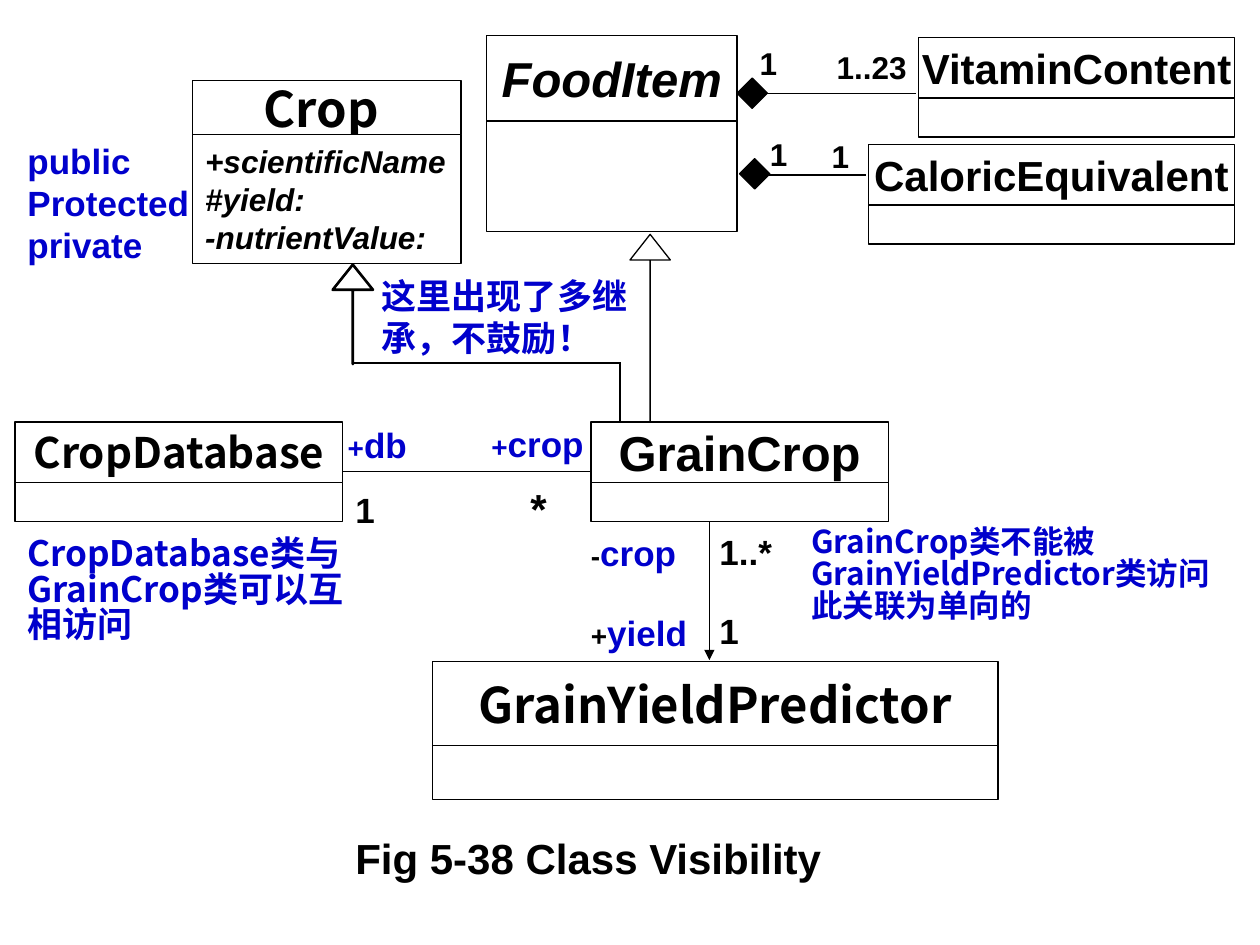
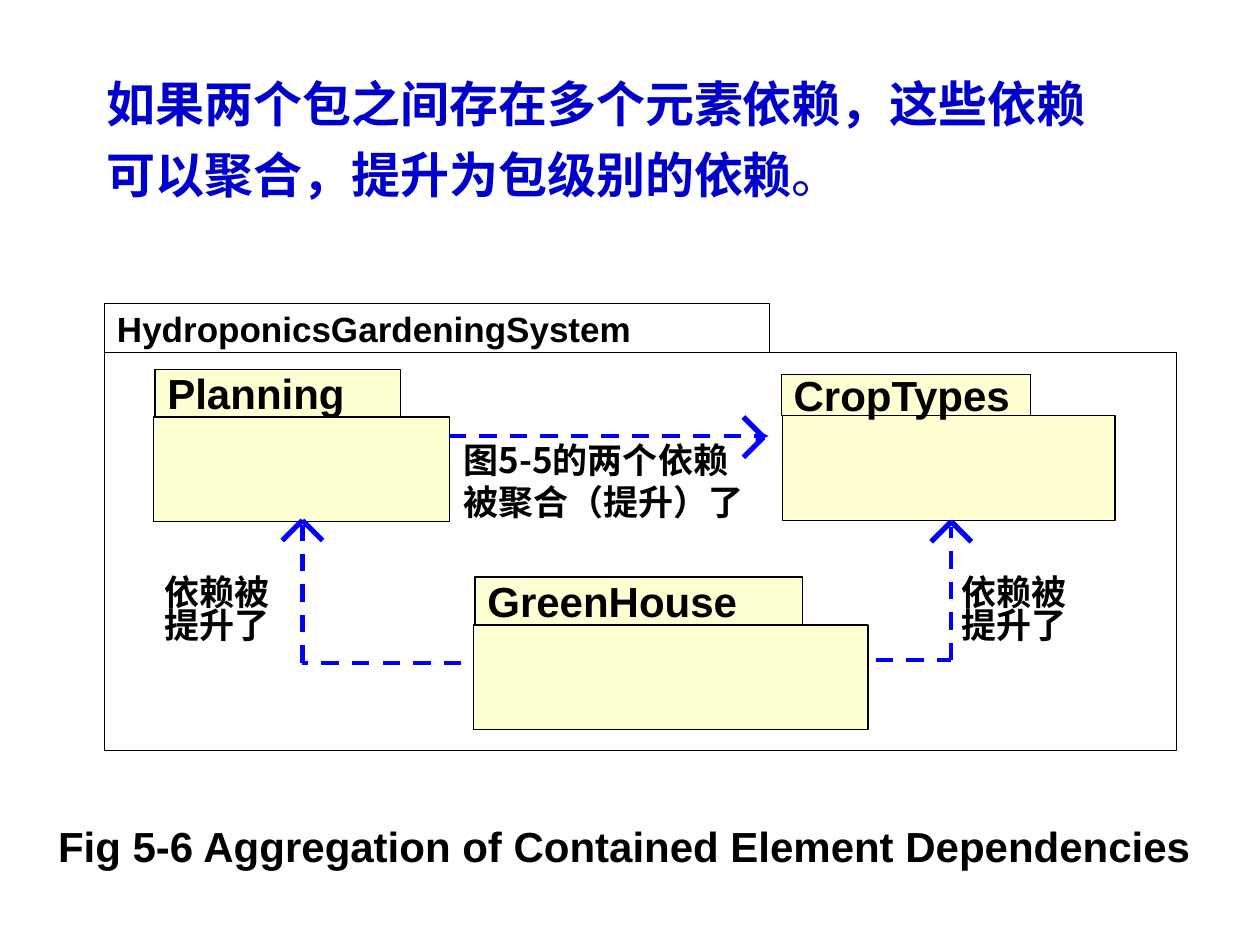
from lxml.etree import SubElement
from pptx import Presentation
from pptx.dml.color import RGBColor
from pptx.enum.dml import MSO_LINE
from pptx.enum.shapes import MSO_CONNECTOR, MSO_SHAPE
from pptx.enum.text import MSO_ANCHOR, PP_ALIGN
from pptx.oxml.ns import qn
from pptx.util import Inches, Pt

# The slide is a grid of 100 columns by 75 rows
SLIDE_WIDTH, SLIDE_HEIGHT = Inches(10), Inches(7.5)
COLUMN, ROW = SLIDE_WIDTH / 100, SLIDE_HEIGHT / 75

BLACK = RGBColor(0x00, 0x00, 0x00)
WHITE = RGBColor(0xFF, 0xFF, 0xFF)
NOTE_BLUE = RGBColor(0x00, 0x00, 0xCC)
ARROW_BLUE = RGBColor(0x00, 0x00, 0xFF)
PACKAGE_YELLOW = RGBColor(0xFF, 0xFF, 0x99)

LATIN, CJK = "Arial", "Noto Sans CJK SC"
PADDED, TIGHT = (1, 0.5), (0, 0)
HEAD_UP, HEAD_RIGHT = [(-1, 1), (1, 1)], [(-1, -1), (-1, 1)]
HEAD_REACH = 1.6


def cells(left, top, width, height):
    return (round(left * COLUMN), round(top * ROW),
            round(width * COLUMN), round(height * ROW))


# Text
def style(run, size, color=BLACK, font=LATIN, bold=True, italic=False):
    run.font.size = Pt(size)
    run.font.bold = bold
    run.font.italic = italic
    run.font.color.rgb = color
    run.font.name = font
    if font == CJK:
        SubElement(run.font._element, qn("a:ea"), typeface=CJK)


def write(frame, text, size, align=PP_ALIGN.LEFT, spacing=None, inset=PADDED,
          wrap=False, **look):
    frame.word_wrap = wrap
    frame.margin_left = frame.margin_right = round(inset[0] * COLUMN)
    frame.margin_top = frame.margin_bottom = round(inset[1] * ROW)
    frame.text = text
    for paragraph in frame.paragraphs:
        paragraph.alignment = align
        if spacing:
            paragraph.line_spacing = spacing
        for run in paragraph.runs:
            style(run, size, **look)


def label(slide, area, text, size, **look):
    frame = slide.shapes.add_textbox(*cells(*area)).text_frame
    write(frame, text, size, **look)
    return frame.paragraphs[0]


def role(slide, left, top, mark, name, mark_color):
    """An association end: a small visibility mark, then the role's name."""
    end = label(slide, (left, top, 8.7, 3.3), mark, 16, inset=TIGHT, color=mark_color)
    name_run = end.add_run()
    name_run.text = name
    style(name_run, 20, NOTE_BLUE)


def caption(slide, area, text):
    label(slide, area, text, 24, align=PP_ALIGN.CENTER)


# Shapes and lines
def solid(slide, kind, area, fill=WHITE, opacity=None, weight=0.75):
    shape = slide.shapes.add_shape(kind, *cells(*area))
    shape.shadow.inherit = False
    shape.fill.solid()
    shape.fill.fore_color.rgb = fill
    if opacity:
        color = shape._element.spPr.find(qn("a:solidFill"))[0]
        SubElement(color, qn("a:alpha"), val=str(opacity * 1000))
    shape.line.color.rgb = BLACK
    shape.line.width = Pt(weight)
    return shape


def line(slide, start, end, color=BLACK, weight=0.75, dashed=False, arrow=False):
    connector = slide.shapes.add_connector(
        MSO_CONNECTOR.STRAIGHT, *cells(*start, *end))
    connector.line.color.rgb = color
    connector.line.width = Pt(weight)
    if dashed:
        connector.line.dash_style = MSO_LINE.DASH
    if arrow:
        SubElement(connector.line._get_or_add_ln(), qn("a:tailEnd"), type="triangle")
    SubElement(connector._element.spPr, qn("a:effectLst"))


def box_text(shape, text, size, **look):
    shape.text_frame.vertical_anchor = MSO_ANCHOR.MIDDLE
    write(shape.text_frame, text, size, **look)


# Class diagram parts
def class_box(slide, left, top, width, name, size, heights=(4.78, 3.1), inset=PADDED, **look):
    """A class: the name on top, its members below. Returns the member part."""
    name_height, member_height = heights
    name_part = solid(slide, MSO_SHAPE.RECTANGLE, (left, top, width, name_height))
    box_text(name_part, name, size, align=PP_ALIGN.CENTER, inset=inset, **look)
    return solid(slide, MSO_SHAPE.RECTANGLE,
                 (left, top + name_height, width, member_height))


def inheritance(slide, area, head, weight=0.75):
    arrow = solid(slide, MSO_SHAPE.UP_ARROW, area, weight=weight)
    arrow.adjustments[0] = 0
    arrow.adjustments[1] = head


def composition(slide, left, top, line_row, part_column):
    solid(slide, MSO_SHAPE.DIAMOND, (left, top, 2.4, 2.4), fill=BLACK)
    line(slide, (60.9, line_row), (part_column, line_row))


# Package diagram parts
def package(slide, tab, body, name, size=24, fill=WHITE, opacity=None):
    solid(slide, MSO_SHAPE.RECTANGLE, body, fill, opacity)
    tab_part = solid(slide, MSO_SHAPE.RECTANGLE, tab, fill, opacity)
    box_text(tab_part, name, size)


def dependency(slide, points, tip, head, arrow=False):
    for start, end in zip(points, points[1:]):
        line(slide, start, end, ARROW_BLUE, 2.5, dashed=True, arrow=arrow)
    for across, down in head:
        wing = (tip[0] + across * HEAD_REACH, tip[1] + down * HEAD_REACH)
        line(slide, wing, tip, ARROW_BLUE, 3)


def class_visibility(slide):
    # Inheritance from Crop
    line(slide, (49.2, 34.2), (49.2, 28.7), weight=1.5)
    line(slide, (49.2, 28.8), (28, 28.8), weight=1.5)
    inheritance(slide, (26.4, 21, 3.2, 7.9), 0.625, weight=1.5)

    # Classes
    crop_members = class_box(slide, 15.3, 6.4, 21.3, "Crop ", 28, (4.3, 10.2), TIGHT, font=CJK)
    box_text(crop_members, "+scientificName\n#yield:\n-nutrientValue:", 18, italic=True)
    class_box(slide, 34.3, 52.5, 44.9, "GrainYieldPredictor", 28, (6.65, 4.3), font=CJK)
    class_box(slide, 38.6, 2.8, 19.9, "FoodItem", 28, (6.8, 8.8), TIGHT, italic=True)
    class_box(slide, 72.9, 3, 25.1, "VitaminContent", 24)
    class_box(slide, 68.9, 11.5, 29.1, "CaloricEquivalent", 24)
    class_box(slide, 1.2, 33.5, 26, "CropDatabase", 24, font=CJK)

    # Relations
    composition(slide, 58.5, 6.2, 7.4, 72.7)
    composition(slide, 58.7, 12.6, 13.9, 68.7)
    inheritance(slide, (50, 18.6, 3.2, 14.9), 0.635)
    line(slide, (27.2, 37.4), (46.9, 37.4))
    line(slide, (56.3, 41.4), (56.3, 52.4), arrow=True)
    class_box(slide, 46.9, 33.5, 23.6, "GrainCrop", 28)

    # Multiplicities
    for left, top, width, count, size in [
            (60.3, 3.5, 2, "1", 18), (66.4, 3.8, 6.3, "1..23", 18),
            (61.1, 10.7, 2, "1", 18), (66, 10.9, 2, "1", 18),
            (28.2, 38.8, 2, "1", 20), (42.1, 38.3, 2, "*", 24),
            (57.1, 42.1, 6.3, "1..*", 20), (57.1, 48.4, 2.3, "1", 20)]:
        label(slide, (left, top, width, 3.3), count, size, inset=TIGHT, wrap=True)

    # Roles
    role(slide, 27.6, 33.6, "+", "db", NOTE_BLUE)
    role(slide, 39, 33.5, "+", "crop", NOTE_BLUE)
    role(slide, 46.9, 42.2, "-", "crop", BLACK)
    role(slide, 46.9, 48.5, "+", "yield", BLACK)

    # Notes
    note = {"color": NOTE_BLUE, "wrap": True}
    label(slide, (1.2, 10.6, 15.7, 11), "public\nProtected\nprivate", 20, **note)
    label(slide, (30.3, 21.8, 20.5, 6.7), "这里出现了多继承，不鼓励！", 20,
          font=CJK, inset=TIGHT, **note)
    label(slide, (1.2, 42.2, 27.6, 15.2), "CropDatabase类与\nGrainCrop类可以互\n相访问", 20,
          font=CJK, spacing=0.85, **note)
    label(slide, (63.4, 41.4, 36.2, 8.7),
          "GrainCrop类不能被\nGrainYieldPredictor类访问\n此关联为单向的", 18,
          font=CJK, spacing=0.85, **note)

    caption(slide, (27.2, 65.6, 39, 5), "Fig 5-38 Class Visibility")


def package_dependencies(slide):
    # Statement
    statement = label(slide, (7.5, 4.4, 83.5, 12.2),
                      "如果两个包之间存在多个元素依赖，这些依赖可以聚合，提升为包级别的依赖", 28,
                      color=NOTE_BLUE, font=CJK, spacing=1.2, wrap=True)
    full_stop = statement.add_run()
    full_stop.text = "。"
    style(full_stop, 28, NOTE_BLUE, CJK, bold=False)

    # Packages
    package(slide, (8.3, 24.1, 52.8, 3.9), (8.3, 28, 85.1, 31.6),
            "HydroponicsGardeningSystem", 20)
    for name, tab, body, opacity in [
            ("Planning", (12.3, 29.3, 19.5, 3.8), (12.2, 33.1, 23.5, 8.3), 42),
            ("CropTypes", (62, 29.7, 19.8, 3.3), (62.1, 33, 26.4, 8.3), 45),
            ("GreenHouse", (37.7, 45.8, 26, 3.8), (37.6, 49.6, 31.3, 8.3), 42)]:
        package(slide, tab, body, name, fill=PACKAGE_YELLOW, opacity=opacity)

    # Dependencies
    dependency(slide, [(35.6, 34.6), (61, 34.6)], (60.6, 34.7), HEAD_RIGHT, arrow=True)
    dependency(slide, [(36.6, 52.6), (24, 52.6), (24, 41.7)], (24, 41.3), HEAD_UP)
    dependency(slide, [(69.5, 52.4), (75.5, 52.4), (75.5, 41.8)], (75.5, 41.4), HEAD_UP)

    # Remarks
    label(slide, (35.8, 34.3, 25.2, 7.7), "图5-5的两个依赖被聚合（提升）了", 20,
          font=CJK, wrap=True)
    for left in (12.1, 75.3):
        label(slide, (left, 45.4, 11, 6.4), "依赖被\n提升了", 20,
              font=CJK, spacing=0.8, wrap=True)

    caption(slide, (3.4, 64.6, 92.3, 4.7),
            "Fig 5-6 Aggregation of Contained Element Dependencies")


def main():
    deck = Presentation()
    deck.slide_width, deck.slide_height = SLIDE_WIDTH, SLIDE_HEIGHT
    blank = deck.slide_layouts[6]
    for draw in (class_visibility, package_dependencies):
        draw(deck.slides.add_slide(blank))
    deck.save("out.pptx")


if __name__ == "__main__":
    main()
